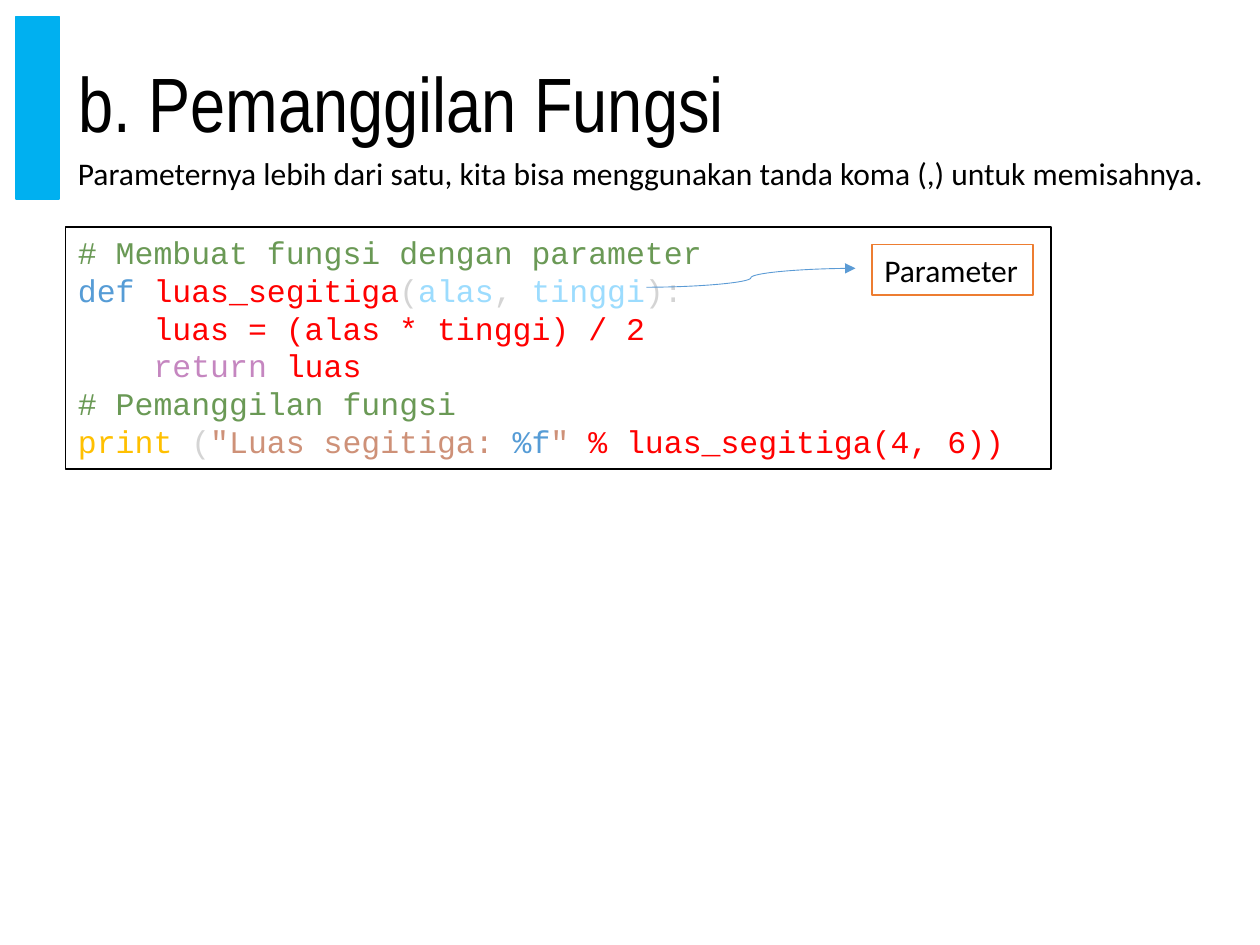
from dataclasses import dataclass
from typing import Optional

from lxml.etree import SubElement
from pptx import Presentation
from pptx.dml.color import RGBColor
from pptx.enum.shapes import MSO_CONNECTOR as Conn, MSO_SHAPE as Shape
from pptx.enum.text import MSO_ANCHOR as Anchor, MSO_AUTO_SIZE as AutoSize, PP_ALIGN as Align
from pptx.oxml.ns import qn
from pptx.util import Inches, Pt


@dataclass(frozen=True)
class Theme:
    heading: str = "Arial Narrow"
    body: str = "Calibri"
    mono: str = "Courier New"
    title_size: int = 44
    text_size: int = 18
    black: str = "000000"
    white: str = "FFFFFF"
    accent: str = "00B0F0"
    arrow: str = "5B9BD5"
    label: str = "ED7D31"
    comment: str = "6A9955"
    keyword: str = "569CD6"
    name: str = "FF0000"
    punct: str = "D4D4D4"
    param: str = "9CDCFE"
    control: str = "C586C0"
    builtin: str = "FFC000"
    string: str = "CE9178"


T = Theme()


@dataclass(frozen=True)
class Box:
    left: float
    top: float
    width: float
    height: float

    def lengths(self) -> tuple:
        return tuple(map(Inches, (self.left, self.top, self.width, self.height)))


@dataclass(frozen=True)
class Token:
    text: str
    color: str


@dataclass(frozen=True)
class CodeLine:
    tokens: tuple[Token, ...]
    indent: float = 0


CODE = (
    CodeLine((Token("# Membuat fungsi dengan parameter", T.comment),)),
    CodeLine((
        Token("def ", T.keyword), Token("luas_segitiga", T.name), Token("(", T.punct),
        Token("alas", T.param), Token(", ", T.punct), Token("tinggi", T.param),
        Token("):", T.punct),
    )),
    CodeLine((Token("luas = (alas * tinggi) / 2", T.name),), 0.6),
    CodeLine((Token("return ", T.control), Token("luas", T.name)), 0.6),
    CodeLine((Token("# Pemanggilan fungsi", T.comment),)),
    CodeLine((
        Token("print", T.builtin), Token(" (", T.punct), Token('"Luas segitiga: ', T.string),
        Token("%f", T.keyword), Token('" ', T.string),
        Token("% luas_segitiga(4, 6))", T.name),
    )),
)


def add_run(p, text: str, font: str, size: int, color: str) -> None:
    r = p.add_run()
    r.text = text
    r.font.name = font
    r.font.size = Pt(size)
    r.font.color.rgb = RGBColor.from_string(color)


def add_rect(s, box: Box, fill: str, line: str):
    sp = s.shapes.add_shape(Shape.RECTANGLE, *box.lengths())
    sp.shadow.inherit = False
    sp.fill.solid()
    sp.fill.fore_color.rgb = RGBColor.from_string(fill)
    sp.line.color.rgb = RGBColor.from_string(line)
    sp.line.width = Pt(1)
    return sp


def add_text(sp, lines: tuple[CodeLine, ...], font: str, wrap: bool = True,
             auto_size: Optional[AutoSize] = AutoSize.SHAPE_TO_FIT_TEXT) -> None:
    tf = sp.text_frame
    tf.word_wrap = wrap
    tf.auto_size = auto_size
    tf.vertical_anchor = Anchor.TOP
    for i, line in enumerate(lines):
        p = tf.paragraphs[0] if i == 0 else tf.add_paragraph()
        p.alignment = Align.LEFT
        if line.indent:
            p._p.get_or_add_pPr().set("marL", str(Inches(line.indent)))
        for token in line.tokens:
            add_run(p, token.text, font, T.text_size, token.color)


def add_title(s, text: str, box: Box) -> None:
    sp = s.shapes.title
    sp.left, sp.top, sp.width, sp.height = box.lengths()
    tf = sp.text_frame
    tf.word_wrap = True
    tf.vertical_anchor = Anchor.MIDDLE
    p = tf.paragraphs[0]
    p.alignment = Align.LEFT
    p.line_spacing = 0.9
    add_run(p, text, T.heading, T.title_size, T.black)


def add_curved_arrow(s, start: tuple[float, float], end: tuple[float, float]) -> None:
    cx = s.shapes.add_connector(Conn.CURVE, *map(Inches, start + end))
    cx.line.color.rgb = RGBColor.from_string(T.arrow)
    cx.line.width = Pt(0.5)
    SubElement(cx.line._get_or_add_ln(), qn("a:tailEnd"), type="triangle")
    SubElement(cx._element.spPr, qn("a:effectLst"))


def plain(text: str) -> tuple[CodeLine, ...]:
    return (CodeLine((Token(text, T.black),)),)


def main() -> None:
    prs = Presentation()
    prs.slide_width, prs.slide_height = Inches(10), Inches(7.5)
    s = prs.slides.add_slide(prs.slide_layouts[5])

    add_rect(s, Box(0.13, 0.13, 0.34, 1.45), T.accent, T.accent)
    add_title(s, "b. Pemanggilan Fungsi", Box(0.52, 0.13, 9.1, 1.45))

    intro = s.shapes.add_textbox(*Box(0.52, 1.17, 9.32, 0.4).lengths())
    add_text(intro, plain(
        "Parameternya lebih dari satu, kita bisa menggunakan tanda koma (,) untuk memisahnya."
    ), T.body)

    listing = add_rect(s, Box(0.52, 1.8, 7.82, 1.92), T.white, T.black)
    add_text(listing, CODE, T.mono)

    add_curved_arrow(s, (5.13, 2.28), (6.79, 2.13))
    label = add_rect(s, Box(6.92, 1.94, 1.28, 0.4), T.white, T.label)
    add_text(label, plain("Parameter"), T.body, wrap=False)

    prs.save("out.pptx")


if __name__ == "__main__":
    main()
